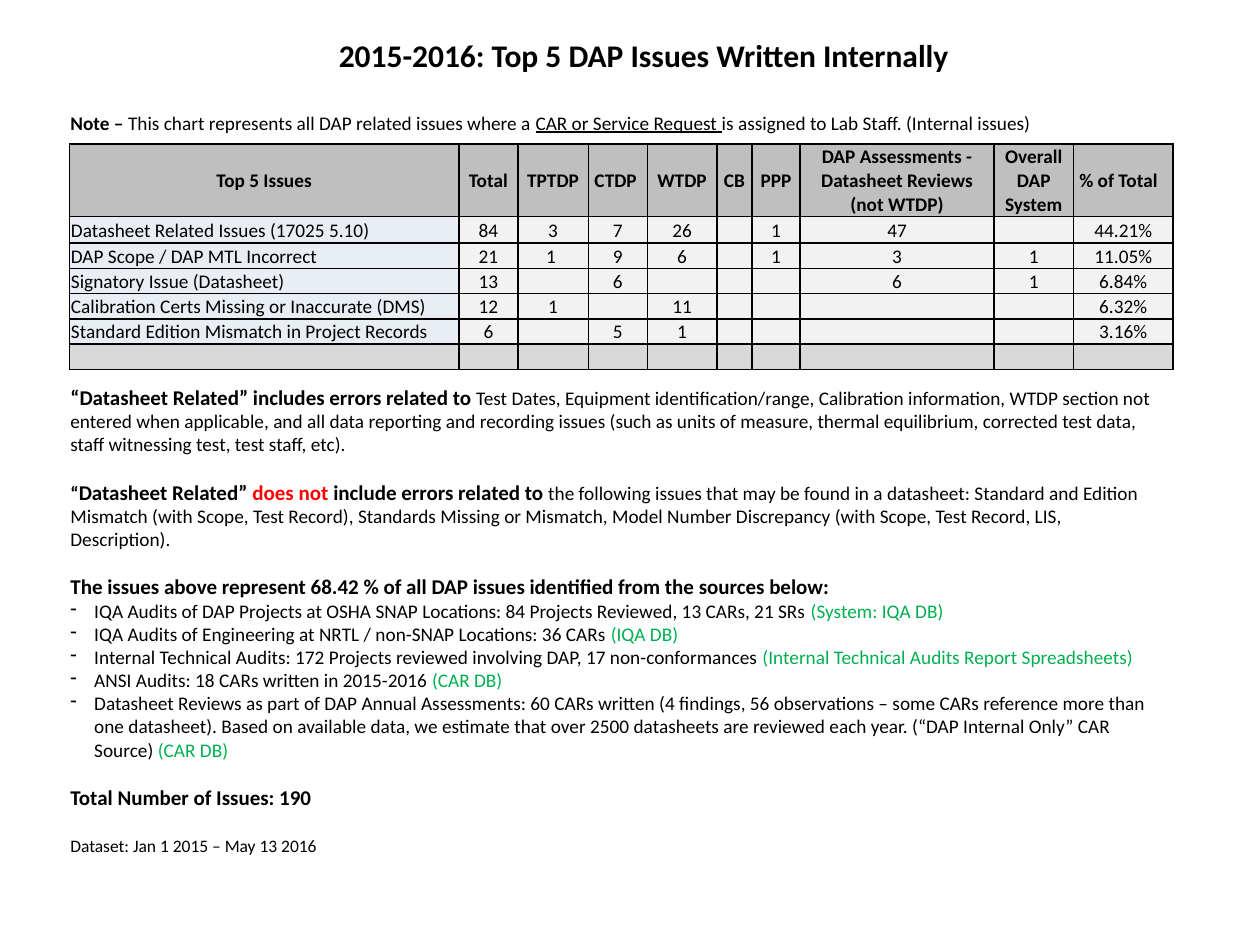
from lxml import etree
from pptx import Presentation
from pptx.dml.color import RGBColor
from pptx.enum.text import MSO_ANCHOR, MSO_AUTO_SIZE, PP_ALIGN
from pptx.oxml.ns import qn
from pptx.util import Cm, Pt

BLACK = RGBColor(0x00, 0x00, 0x00)
RED = RGBColor(0xFF, 0x00, 0x00)
GREEN = RGBColor(0x00, 0xB0, 0x50)
HEADER_GRAY = RGBColor(0xBF, 0xBF, 0xBF)
ISSUE_BLUE = RGBColor(0xE9, 0xED, 0xF4)
VALUE_GRAY = RGBColor(0xF2, 0xF2, 0xF2)
FOOTER_GRAY = RGBColor(0xD9, 0xD9, 0xD9)
CENTER, LEFT = PP_ALIGN.CENTER, PP_ALIGN.LEFT
MIDDLE, BOTTOM = MSO_ANCHOR.MIDDLE, MSO_ANCHOR.BOTTOM
GROW = MSO_AUTO_SIZE.SHAPE_TO_FIT_TEXT


def add_text(paragraph, text, size=11, bold=False, color=BLACK, underline=False):
    """Append text to the paragraph; a newline becomes a line break."""
    for index, line in enumerate(text.split("\n")):
        if index:
            paragraph.add_line_break()
        run = paragraph.add_run()
        run.text = line
        run.font.name = "Calibri"
        run.font.size = Pt(size)
        run.font.bold = bold
        run.font.color.rgb = color
        if underline:
            run.font.underline = True


def add_frame(left, top, width, height, wrap=True):
    frame = slide.shapes.add_textbox(Cm(left), Cm(top), Cm(width), Cm(height)).text_frame
    frame.word_wrap = wrap
    frame.auto_size = GROW
    return frame


prs = Presentation()
prs.slide_width, prs.slide_height = Cm(25.4), Cm(19.05)
slide = prs.slides.add_slide(prs.slide_layouts[6])

# Issue table
issue_rows = [
    ["Top 5 Issues", "Total", "TPTDP", "CTDP ", "WTDP", "CB", "PPP",
     "DAP Assessments - Datasheet Reviews\n(not WTDP)", "Overall DAP System", "\u00a0% of Total"],
    ["Datasheet Related Issues (17025 5.10)", "84", "3", "7", "26", "", "1", "47", "", "44.21%"],
    ["DAP Scope / DAP MTL Incorrect", "21", "1\u00a0", "9", "6", "", "1", "3", "1", "11.05%"],
    ["Signatory Issue (Datasheet)", "13", "", "6", "", "", "", "6", "1", "6.84%"],
    ["Calibration Certs Missing or Inaccurate (DMS)", "12", "1", "", "11", "", "", "", "", "6.32%"],
    ["Standard Edition Mismatch in Project Records", "6", "", "5", "1", "", "", "", "", "3.16%"],
    [""] * 10,
]
column_widths = [7.85, 1.19, 1.42, 1.19, 1.4, 0.71, 0.97, 3.91, 1.6, 2.01]
row_heights = [0.86, 0.53] + [0.43] * 5
last_row, last_column = len(row_heights) - 1, len(column_widths) - 1

issues = slide.shapes.add_table(len(row_heights), len(column_widths), Cm(1.4), Cm(2.9),
                                Cm(sum(column_widths)), Cm(sum(row_heights))).table
issues.first_row = issues.horz_banding = False
for column, width in zip(issues.columns, column_widths):
    column.width = Cm(width)
for row, height in zip(issues.rows, row_heights):
    row.height = Cm(height)

for r, row in enumerate(issue_rows):
    for c, text in enumerate(row):
        cell = issues.cell(r, c)
        cell.margin_left = cell.margin_right = cell.margin_top = Cm(0.03)
        cell.margin_bottom = 0
        cell.vertical_anchor = MIDDLE if r == 0 else BOTTOM

        properties = cell._tc.get_or_add_tcPr()
        for side in ("a:lnL", "a:lnR", "a:lnT", "a:lnB"):
            border = etree.SubElement(properties, qn(side), w=str(Pt(1)))
            border_fill = etree.SubElement(border, qn("a:solidFill"))
            etree.SubElement(border_fill, qn("a:srgbClr"), val=str(BLACK))

        cell.fill.solid()
        if r == 0:
            cell.fill.fore_color.rgb = HEADER_GRAY
        elif r == last_row:
            cell.fill.fore_color.rgb = FOOTER_GRAY
        else:
            cell.fill.fore_color.rgb = VALUE_GRAY if c else ISSUE_BLUE

        paragraph = cell.text_frame.paragraphs[0]
        left_aligned = (c == 0 and r > 0) or (r == 0 and c == last_column)
        paragraph.alignment = LEFT if left_aligned else CENTER
        if text:
            add_text(paragraph, text, bold=r == 0)
        else:
            etree.SubElement(paragraph._p, qn("a:endParaRPr"), sz="1100")

# Explanations: space before, bulleted, runs
strong = {"size": 12, "bold": True}
source = {"color": GREEN}
explanations = [
    (0, False, [
        ("“Datasheet Related” includes errors related to", strong),
        (" Test Dates, Equipment identification/range, Calibration information, WTDP section not "
         "entered when applicable, and all data reporting and recording issues (such as units of "
         "measure, thermal equilibrium, corrected test data, staff witnessing test, test staff, "
         "etc).", {})]),
    (13.4, False, [
        ("“", {"bold": True}),
        ("Datasheet Related” ", strong),
        ("does not ", {**strong, "color": RED}),
        ("include errors related to ", strong),
        ("the following issues that may be found in a datasheet: Standard and Edition Mismatch "
         "(with Scope, Test Record), Standards Missing or Mismatch, Model Number Discrepancy "
         "(with Scope, Test Record, LIS, Description).", {})]),
    (13.4, False, [
        ("The issues above represent 68.42 % of all DAP issues identified from the sources below:",
         strong)]),
    (0, True, [
        ("IQA Audits of DAP Projects at OSHA SNAP Locations: 84 Projects Reviewed, 13 CARs, "
         "21 SRs ", {}),
        ("(System: IQA DB)", source)]),
    (0, True, [
        ("IQA Audits of Engineering at NRTL / non-SNAP Locations: 36 CARs ", {}),
        ("(IQA DB)", source)]),
    (0, True, [
        ("Internal Technical Audits: 172 Projects reviewed involving DAP, 17 non-conformances ", {}),
        ("(Internal Technical Audits Report Spreadsheets)", source)]),
    (0, True, [
        ("ANSI Audits: 18 CARs written in 2015-2016 ", {}),
        ("(CAR DB)", source)]),
    (0, True, [
        ("Datasheet Reviews as part of DAP Annual Assessments: 60 CARs written (4 findings, 56 "
         "observations – some CARs reference more than one datasheet). Based on available data, "
         "we estimate that over 2500 datasheets are reviewed each year. (“DAP Internal Only” CAR "
         "Source) ", {}),
        ("(CAR DB)", source)]),
    (13.4, False, [("Total Number of Issues: 190", strong)]),
    (14.6, False, [("Dataset: Jan 1 2015 – May 13 2016", {"size": 10})]),
]
explanation_frame = add_frame(1.17, 7.62, 22.43, 9.83)
for index, (space, bulleted, runs) in enumerate(explanations):
    paragraph = explanation_frame.add_paragraph() if index else explanation_frame.paragraphs[0]
    if space:
        paragraph.space_before = Pt(space)
    if bulleted:
        properties = paragraph._p.get_or_add_pPr()
        properties.set("marL", str(Cm(0.48)))
        properties.set("indent", str(-Cm(0.48)))
        etree.SubElement(properties, qn("a:buChar"), char="-")
    for text, style in runs:
        add_text(paragraph, text, **style)

# Title and note
title = add_frame(6.58, 0.61, 12.93, 1.02, wrap=False)
add_text(title.paragraphs[0], "2015-2016: Top 5 DAP Issues Written Internally", size=18, bold=True)

note = add_frame(1.17, 2.11, 20.83, 0.74).paragraphs[0]
add_text(note, "Note – ", bold=True)
add_text(note, "This chart represents all DAP related issues where a ")
add_text(note, "CAR or Service Request ", underline=True)
add_text(note, "is assigned to Lab Staff. (Internal issues)")

prs.save("out.pptx")
